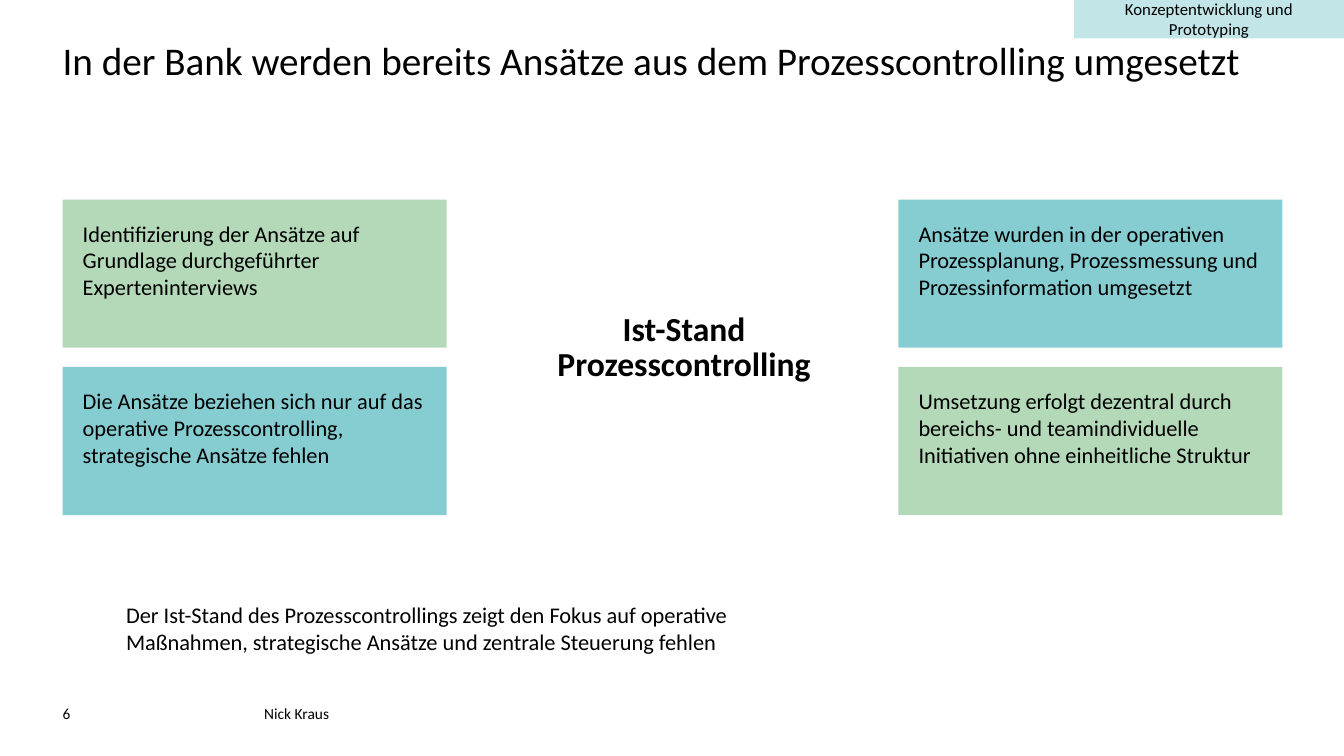
from lxml.etree import SubElement
from pptx import Presentation
from pptx.dml.color import RGBColor
from pptx.enum.shapes import MSO_SHAPE
from pptx.enum.text import MSO_ANCHOR, MSO_AUTO_SIZE, PP_ALIGN
from pptx.oxml.ns import qn
from pptx.util import Inches, Pt

WIDE, HIGH = 13.33, 7.5
LEFT, TOP = 0.62, 1.98
COL, ROW = 8.29, 1.66
CARD = (3.81, 1.47)
GREEN, TEAL, PALE, BLACK = "B4D9B9", "86CDD2", "C2E6E8", "000000"

CARDS = [
    ["Identifizierung der Ansätze auf Grundlage durchgeführter Experteninterviews",
     "Ansätze wurden in der operativen Prozessplanung, Prozessmessung und "
     "Prozessinformation umgesetzt"],
    ["Die Ansätze beziehen sich nur auf das operative Prozesscontrolling, "
     "strategische Ansätze fehlen",
     "Umsetzung erfolgt dezentral durch bereichs- und teamindividuelle "
     "Initiativen ohne einheitliche Struktur"],
]


def paint(part, tone):
    """Give a fill or font its solid colour from a hex string."""
    fill = getattr(part, "fill")
    fill.solid()
    fill.fore_color.rgb = RGBColor.from_string(tone)


def place(shape, left, top, width, height):
    """Move and size a shape in inches."""
    shape.left, shape.top = Inches(left), Inches(top)
    shape.width, shape.height = Inches(width), Inches(height)


def write(shape, text, size, inset=(0, 0, 0, 0), align=PP_ALIGN.LEFT,
          anchor=MSO_ANCHOR.TOP, bold=False, lead=1.0):
    """Fill a shape with formatted text."""
    frame = shape.text_frame
    frame.text = text
    frame.word_wrap = True
    frame.auto_size = MSO_AUTO_SIZE.NONE
    frame.vertical_anchor = anchor
    (frame.margin_left, frame.margin_top,
     frame.margin_right, frame.margin_bottom) = map(Inches, inset)
    for para in frame.paragraphs:
        para.alignment, para.line_spacing = align, lead
        para.space_before = Pt(0)
        for run in para.runs:
            run.font.name, run.font.size = "Calibri", Pt(size)
            run.font.bold = bold
            paint(run.font, BLACK)


def block(slide, area, tone):
    """Add a plain filled rectangle."""
    shape = slide.shapes.add_shape(MSO_SHAPE.RECTANGLE, *map(Inches, area))
    shape.shadow.inherit = False
    paint(shape, tone)
    shape.line.fill.background()
    return shape


def label(slide, area, text, size, **style):
    """Add a text box."""
    box = slide.shapes.add_textbox(*map(Inches, area))
    write(box, text, size, **style)
    return box


def plain(para):
    """Remove the bullet and indent of a paragraph."""
    props = para._p.get_or_add_pPr()
    props.set("marL", "0")
    props.set("indent", "0")
    SubElement(props, qn("a:buNone"))


def tab(para, stop):
    """Set one left tab stop in inches."""
    props = para._p.get_or_add_pPr()
    stops = SubElement(props, qn("a:tabLst"))
    SubElement(stops, qn("a:tab"), pos=str(Inches(stop)), algn="l")


def grid(slide):
    """Draw the four cards in alternating colours."""
    for row, texts in enumerate(CARDS):
        for col, text in enumerate(texts):
            area = (LEFT + col * COL, TOP + row * ROW, *CARD)
            card = block(slide, area, (GREEN, TEAL)[(row + col) % 2])
            write(card, text, 16, inset=(0.2,) * 4)


def main():
    """Build the slide and save it."""
    deck = Presentation()
    deck.slide_width, deck.slide_height = Inches(WIDE), Inches(HIGH)
    slide = deck.slides.add_slide(deck.slide_layouts[1])
    title, body = slide.placeholders

    place(title, LEFT, 0.41, WIDE - 2 * LEFT, 1.07)
    write(title, "In der Bank werden bereits Ansätze aus dem "
          "Prozesscontrolling umgesetzt", 28, lead=0.9)

    place(body, LEFT, 5.96, 7.74, 0.79)
    write(body, "Der Ist-Stand des Prozesscontrollings zeigt den Fokus auf "
          "operative Maßnahmen, strategische Ansätze und zentrale Steuerung "
          "fehlen", 16, inset=(0.63, 0, 0, 0))
    plain(body.text_frame.paragraphs[0])

    grid(slide)
    label(slide, (5.25, 3.11, 3.07, 0.7), "Ist-Stand\nProzesscontrolling", 24,
          align=PP_ALIGN.CENTER, bold=True, lead=Pt(25))

    chip = block(slide, (WIDE - 2.68, 0, 2.68, 0.38), PALE)
    write(chip, "Konzeptentwicklung und Prototyping", 12,
          inset=(0.1, 0.05, 0.1, 0.05), align=PP_ALIGN.CENTER,
          anchor=MSO_ANCHOR.MIDDLE)

    foot = label(slide, (LEFT, 6.98, 6.61, 0.19), "6\tNick Kraus", 11,
                 anchor=MSO_ANCHOR.MIDDLE)
    tab(foot.text_frame.paragraphs[0], 2)

    deck.save("out.pptx")


if __name__ == "__main__":
    main()
